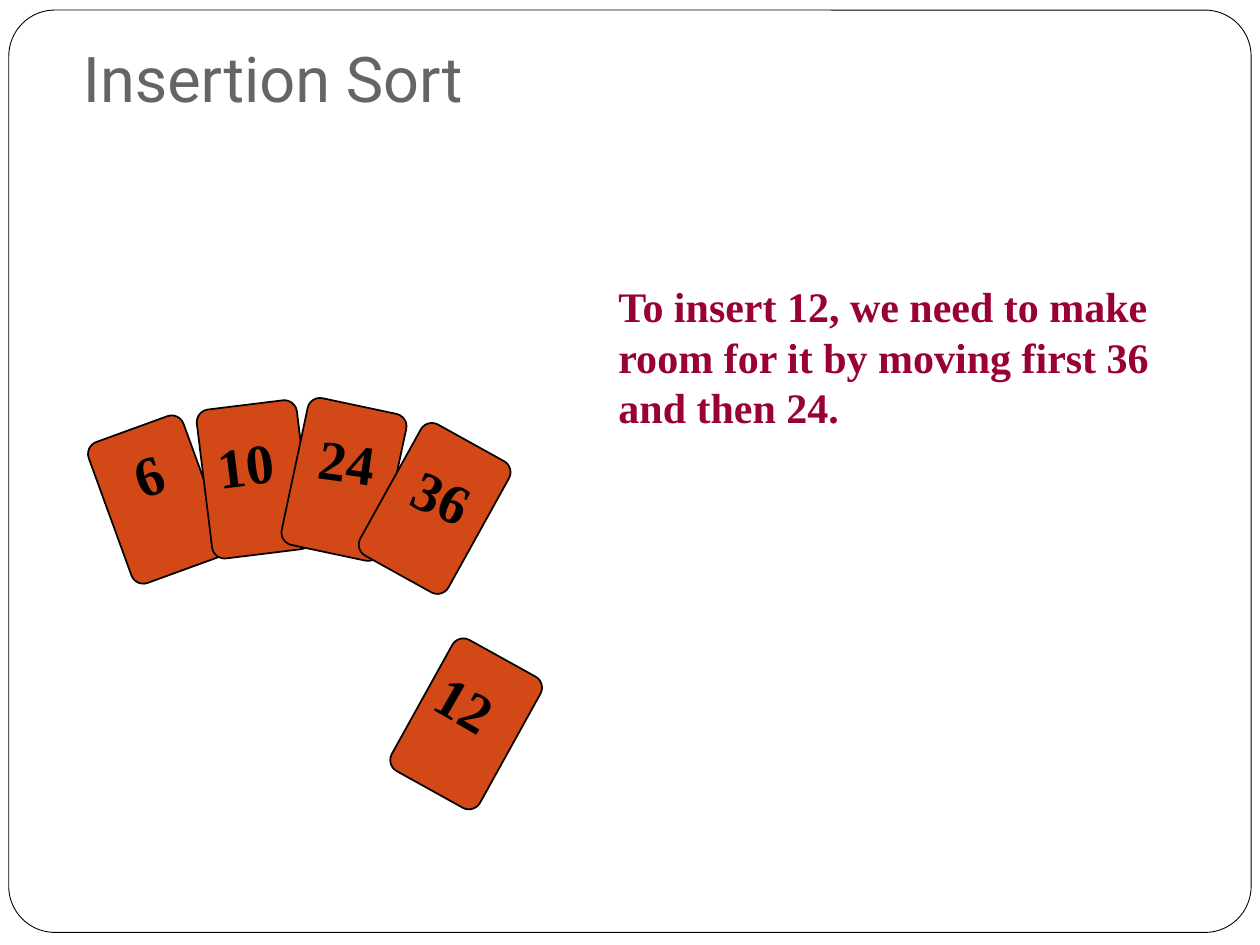
import pptx
import pptx.util
import pptx.dml.color
import pptx.enum.shapes
import pptx.enum.text

Inches = pptx.util.Inches
Pt = pptx.util.Pt
Anchor = pptx.enum.text.MSO_ANCHOR
Fit = pptx.enum.text.MSO_AUTO_SIZE
ROUND = pptx.enum.shapes.MSO_SHAPE.ROUNDED_RECTANGLE

hues = {"page": "FFFFFF", "ink": "000000", "title": "696464",
        "note": "990033", "card": "D34817"}
serif = "Times New Roman"
styles = {
    "title": {"size": Pt(36), "name": "Roboto", "bold": False},
    "note": {"size": Pt(24), "name": serif, "bold": True},
    "ink": {"size": Pt(32), "name": serif, "bold": True},
}

deck = pptx.Presentation()
deck.slide_width, deck.slide_height = Inches(10), Inches(7.5)
slide = deck.slides.add_slide(deck.slide_layouts[6])


def add_round(box, curve, fill, width, turn=0):
    shape = slide.shapes.add_shape(ROUND, *map(Inches, box))
    shape.adjustments[0] = curve
    shape.rotation = turn
    shape.shadow.inherit = False
    shape.fill.solid()
    shape.fill.fore_color.rgb = pptx.dml.color.RGBColor.from_string(hues[fill])
    shape.line.color.rgb = pptx.dml.color.RGBColor.from_string(hues["ink"])
    shape.line.width = Pt(width)


def add_text(box, words, style, turn=0, **format):
    shape = slide.shapes.add_textbox(*map(Inches, box))
    shape.rotation = turn
    frame = shape.text_frame
    for key, value in format.items():
        setattr(frame, key, value)
    run = frame.paragraphs[0].add_run()
    run.text = words
    for key, value in styles[style].items():
        setattr(run.font, key, value)
    run.font.color.rgb = pptx.dml.color.RGBColor.from_string(hues[style])


# Page frame
add_round((0.07, 0.08, 9.86, 7.32), 0.05, "page", 0.5)

# Title and note
add_text((0.56, 0.68, 6.92, 0.28), "Insertion Sort", "title",
         word_wrap=True, vertical_anchor=Anchor.BOTTOM)
add_text((4.81, 2.18, 4.66, 1.3),
         "To insert 12, we need to make room for it by moving first 36 "
         "and then 24.", "note", word_wrap=True,
         auto_size=Fit.SHAPE_TO_FIT_TEXT)

# Cards: number, card left, top, turn, label left, top, width, turn
cards = [
    ("6", 0.85, 3.37, -20, 0.97, 3.44, 0.45, -19),
    ("10", 1.62, 3.21, -7, 1.63, 3.36, 0.7, -7),
    ("24", 2.33, 3.21, 12, 2.44, 3.34, 0.7, 8),
    ("12", 3.3, 5.15, 29, 3.37, 5.28, 0.7, 30),
    ("36", 3.05, 3.44, 29, 3.19, 3.63, 0.7, 25),
]
for number, left, top, turn, x, y, width, tilt in cards:
    add_round((left, top, 0.8, 1.19), 0.125, "card", 1, turn)
    add_text((x, y, width, 0.63), number, "ink", tilt,
             word_wrap=False, auto_size=Fit.SHAPE_TO_FIT_TEXT)

deck.save("out.pptx")
